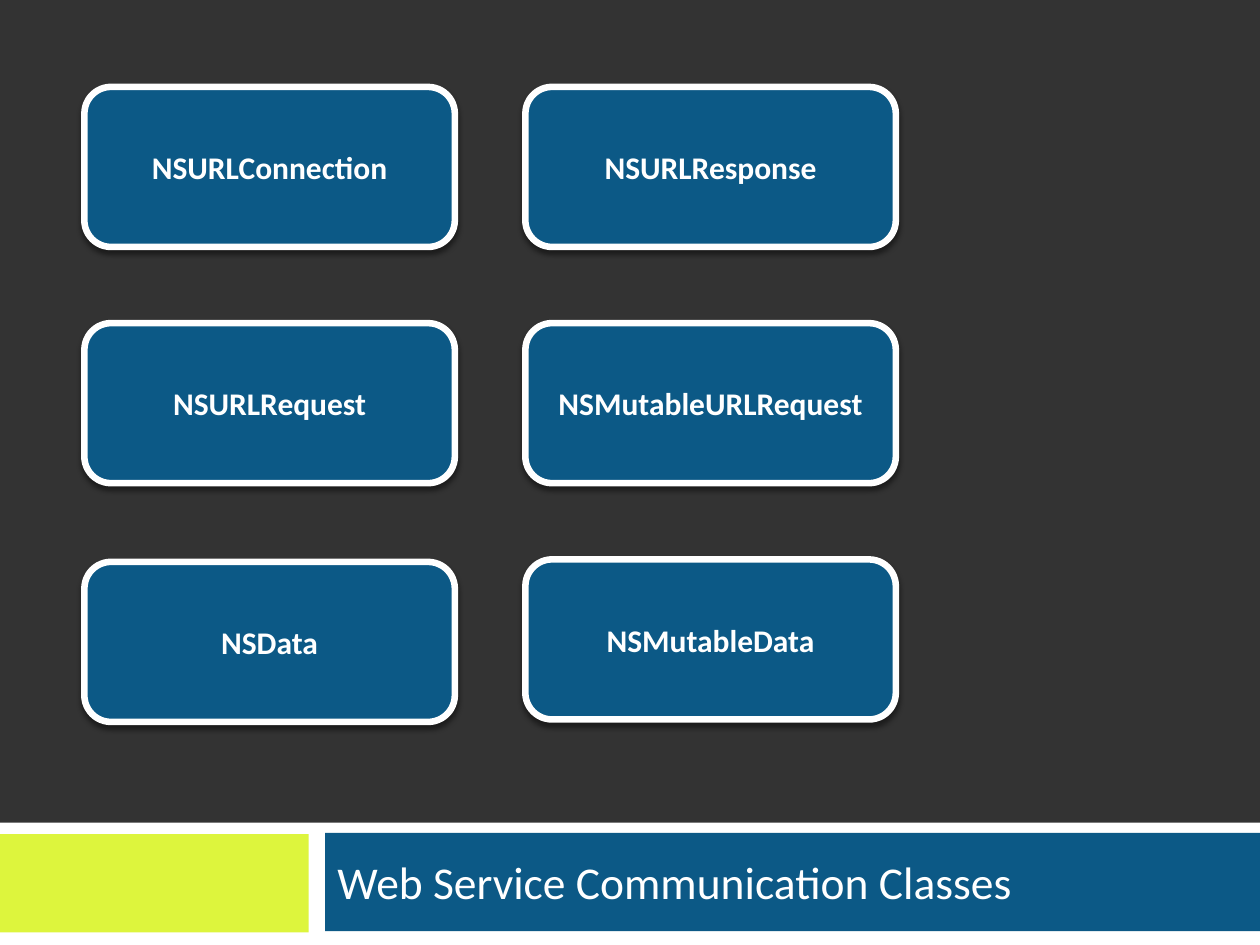
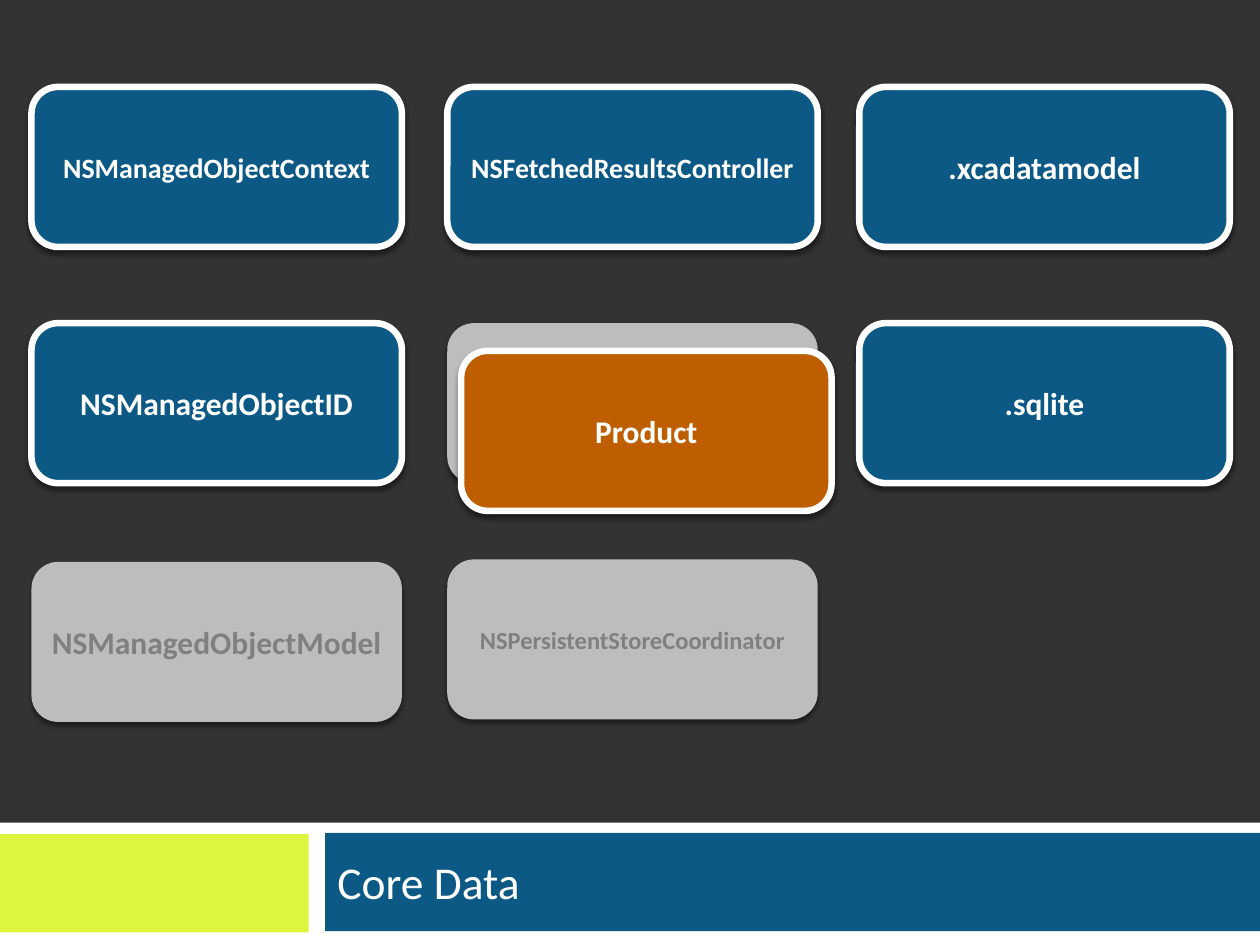
"""Build two slides of class-name cards above a shared title band."""
from dataclasses import dataclass

from lxml import etree
from pptx import Presentation
from pptx.dml.color import RGBColor
from pptx.enum import shapes, text
from pptx.oxml import ns
from pptx.util import Pt


@dataclass(frozen=True)
class Theme:
    font: str = "Calibri"
    backdrop: str = "333333"
    white: str = "FFFFFF"
    lime: str = "DDF53D"
    blue: str = "0C5986"
    orange: str = "BF5E00"
    silver: str = "BDBDBD"
    grey: str = "808080"
    shadow: str = "000000"
    title_size: float = 26
    card_size: float = 18
    long_size: float = 16
    longest_size: float = 14
    border: float = 3.75


THEME = Theme()
SLIDE_SIZE = (720, 540)
BANDS = [
    (THEME.white, (0, 470.16, 720, 69.84)),
    (THEME.lime, (-0.72, 476.64, 177.12, 56.16)),
    (THEME.blue, (185.76, 475.92, 534.24, 56.16)),
]
TITLE_AREA = (185.76, 476.64, 527.76, 54)
CARD_SIZE = (211.68, 91.44)
ROW_TOP, ROW_STEP = 49.68, 135
LAST_LEFT_DROP = 1.44
FRONT_SHIFT = (7.92, 15.84)

STYLES = {
    "active": (THEME.blue, THEME.white, True),
    "muted": (THEME.silver, THEME.grey, False),
    "front": (THEME.orange, THEME.white, True),
}

SLIDES = [
    {
        "title": "Web Service Communication Classes",
        "columns": (48.24, 300.24),
        "cards": [
            ("NSURLConnection", 0, 0, "active", THEME.card_size),
            ("NSURLRequest", 0, 1, "active", THEME.card_size),
            ("NSMutableURLRequest", 1, 1, "active", THEME.card_size),
            ("NSMutableData", 1, 2, "active", THEME.card_size),
            ("NSURLResponse", 1, 0, "active", THEME.card_size),
            ("NSData", 0, 2, "active", THEME.card_size),
        ],
    },
    {
        "title": "Core Data",
        "columns": (18, 255.6, 491.04),
        "cards": [
            ("NSManagedObjectContext", 0, 0, "active", THEME.long_size),
            ("NSManagedObjectID", 0, 1, "active", THEME.card_size),
            ("", 1, 1, "muted", THEME.card_size),
            ("NSPersistentStoreCoordinator", 1, 2, "muted", THEME.longest_size),
            ("NSFetchedResultsController", 1, 0, "active", THEME.long_size),
            ("NSManagedObjectModel", 0, 2, "muted", THEME.card_size),
            (".xcadatamodel", 2, 0, "active", THEME.card_size),
            (".sqlite", 2, 1, "active", THEME.card_size),
            ("Product", 1, 1, "front", THEME.card_size),
        ],
    },
]


def paint(fill, color):
    fill.solid()
    fill.fore_color.rgb = RGBColor.from_string(color)


def add_filled(page, kind, area, color):
    shape = page.shapes.add_shape(kind, *map(Pt, area))
    shape.shadow.inherit = False
    paint(shape.fill, color)
    shape.line.fill.background()
    return shape


def write(shape, words, size, color, bold=False):
    frame = shape.text_frame
    frame.text = words
    frame.vertical_anchor = text.MSO_ANCHOR.MIDDLE
    para = frame.paragraphs[0]
    for span in para.runs:
        span.font.name = THEME.font
        span.font.size = Pt(size)
        span.font.bold = bold
        span.font.color.rgb = RGBColor.from_string(color)
    return para


def cast_shadow(shape):
    effects = shape._element.spPr.find(ns.qn("a:effectLst"))
    outer = etree.SubElement(
        effects, ns.qn("a:outerShdw"), blurRad=str(Pt(3)), dist=str(Pt(2.4)),
        dir="5400000", rotWithShape="0")
    color = etree.SubElement(outer, ns.qn("a:srgbClr"), val=THEME.shadow)
    etree.SubElement(color, ns.qn("a:alpha"), val="45000")


def card_area(columns, column, row, style):
    left, top = columns[column], ROW_TOP + row * ROW_STEP
    if (column, row) == (0, 2):
        top += LAST_LEFT_DROP
    if style == "front":
        left, top = left + FRONT_SHIFT[0], top + FRONT_SHIFT[1]
    return (left, top, *CARD_SIZE)


def add_card(page, columns, words, column, row, style, size):
    fill, ink, bordered = STYLES[style]
    area = card_area(columns, column, row, style)
    card = add_filled(page, shapes.MSO_SHAPE.ROUNDED_RECTANGLE, area, fill)
    if bordered:
        paint(card.line.fill, THEME.white)
        card.line.width = Pt(THEME.border)
    cast_shadow(card)
    if words:
        para = write(card, words, size, ink, bold=True)
        para.alignment = text.PP_ALIGN.CENTER
        card.text_frame.word_wrap = False


def add_title_band(page, title):
    for color, area in BANDS:
        add_filled(page, shapes.MSO_SHAPE.RECTANGLE, area, color)
    box = page.shapes.add_textbox(*map(Pt, TITLE_AREA))
    box.text_frame.word_wrap = True
    para = write(box, title, THEME.title_size, THEME.white)
    para.space_before = Pt(7)


def main():
    deck = Presentation()
    deck.slide_width, deck.slide_height = map(Pt, SLIDE_SIZE)
    paint(deck.slide_master.background.fill, THEME.backdrop)
    for content in SLIDES:
        page = deck.slides.add_slide(deck.slide_layouts[6])
        add_title_band(page, content["title"])
        for card in content["cards"]:
            add_card(page, content["columns"], *card)
    deck.save("out.pptx")


if __name__ == "__main__":
    main()
